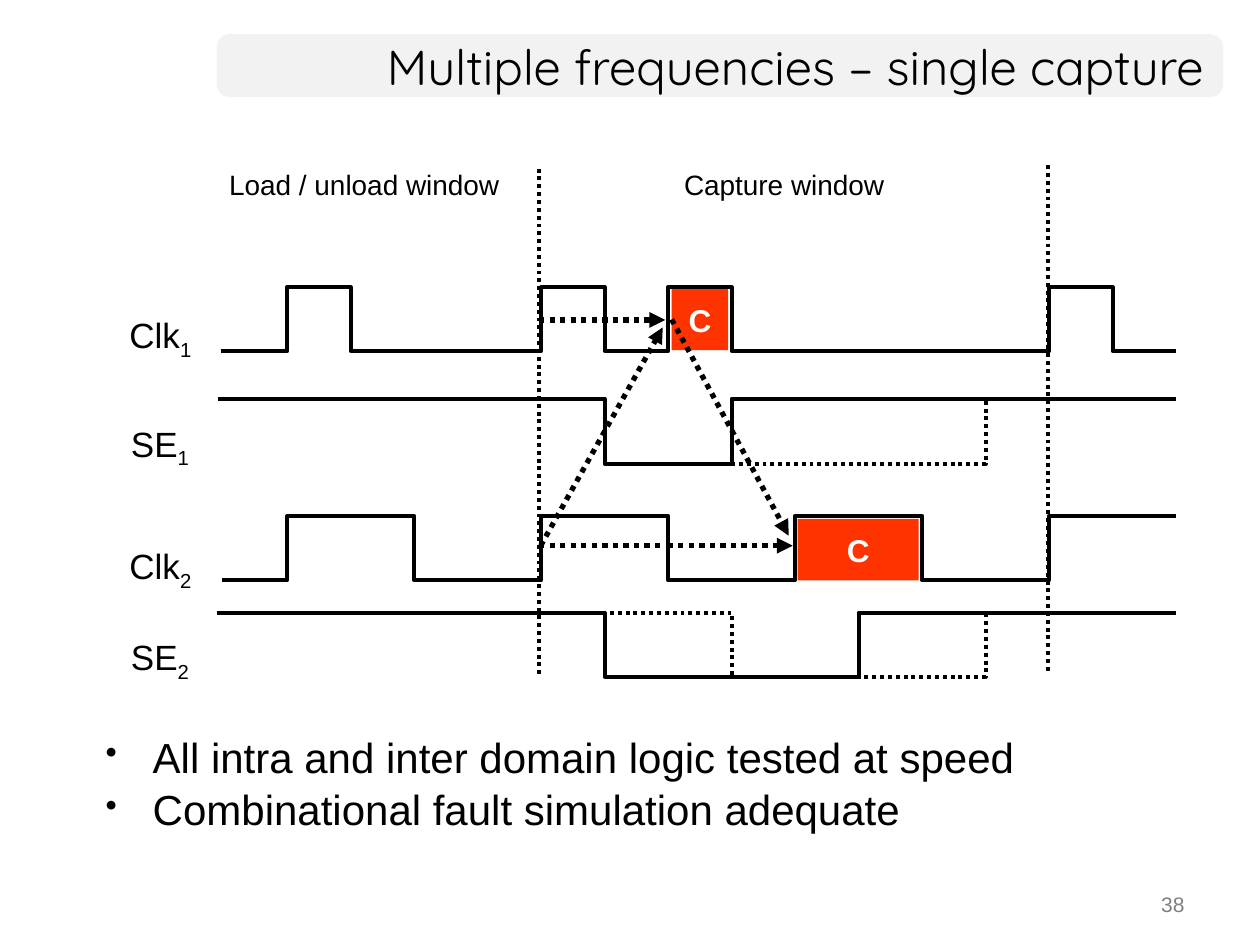
"""Build the slide on single capture with multiple clock frequencies."""
from dataclasses import dataclass

from lxml.etree import SubElement
from pptx import Presentation
from pptx.dml.color import RGBColor
from pptx.enum.dml import MSO_LINE
from pptx.enum.shapes import MSO_CONNECTOR, MSO_SHAPE
from pptx.enum.text import MSO_ANCHOR, MSO_AUTO_SIZE, PP_ALIGN
from pptx.oxml.ns import qn
from pptx.util import Cm, Pt

HUES = {"ink": "000000", "bar": "F2F2F2", "hit": "FF3300", "page": "808080", "pale": "FFFFFF"}
FIRST, STEP, LAST = 5.79, 1.28, 14


@dataclass
class Wave:
    start: float
    top: float
    low: float
    ticks: tuple
    high: bool = False


@dataclass
class Label:
    text: str
    left: float
    top: float
    width: float
    height: float
    size: int
    sub: str = ""
    hue: str = "ink"
    face: str = "Arial"
    align: PP_ALIGN = PP_ALIGN.LEFT
    wrap: bool = False


@dataclass
class Ray:
    start: tuple
    end: tuple
    width: float = 3
    head: bool = True
    source: int | None = None


WAVES = (
    Wave(4.45, 5.79, 7.08, (0, 1, 4, 5, 6, 7, 12, 13)),
    Wave(4.39, 8.04, 9.35, (5, 7), True),
    Wave(4.47, 10.4, 11.7, (0, 2, 4, 6, 8, 10, 12)),
    Wave(4.37, 12.35, 13.64, (5, 9), True),
)
DOTS = (
    ((11, 8.08), (11, 9.35), (7, 9.35)),
    ((7, 13.61), (7, 12.35), (5, 12.35)),
    ((11, 12.37), (11, 13.64), (9, 13.64)),
)
HITS = ((13.54, 5.82, 1.14, 1.24), (16.08, 10.46, 2.44, 1.24))
LABELS = (
    Label("Multiple frequencies – single capture", 4.37, 0.69, 20.14, 1.27, 28,
          face="Quicksand", align=PP_ALIGN.RIGHT, wrap=True),
    Label("38", 18.21, 17.78, 5.92, 0.89, 12, hue="page", align=PP_ALIGN.RIGHT, wrap=True),
    Label("Clk", 2.36, 6.25, 1.8, 1.12, 20, "1"),
    Label("SE", 2.39, 8.43, 1.73, 1.12, 20, "1"),
    Label("Clk", 2.36, 10.9, 1.8, 1.12, 20, "2"),
    Label("SE", 2.39, 12.73, 1.73, 1.12, 20, "2"),
    Label("Load / unload window", 4.37, 3.25, 6.02, 0.94, 16),
    Label("Capture window", 13.54, 3.25, 4.6, 0.94, 16),
)
RAYS = (
    Ray((10.87, 3.4), (10.87, 13.61), 2.25, False),
    Ray((21.13, 3.33), (21.13, 13.54), 2.25, False),
    Ray((13.46, 11), (15.98, 11)),
    Ray((13.54, 6.44), (15.9, 10.8), source=0),
    Ray((10.87, 6.45), (13.41, 6.45)),
    Ray((10.9, 11), (13.36, 6.6)),
    Ray((10.87, 11), (13.39, 11), head=False),
)
POINTS = ("All intra and inter domain logic tested at speed",
          "Combinational fault simulation adequate")


def hue(name: str) -> RGBColor:
    """Return the named colour."""
    return RGBColor.from_string(HUES[name])


def tick(count: int) -> float:
    """Return the x of a clock tick in centimetres."""
    return FIRST + STEP * count


def style(font, size: int, name: str = "ink", face: str = "Arial", bold: bool = False) -> None:
    """Set size, colour, face and weight of a font."""
    font.size, font.name, font.bold = Pt(size), face, bold
    font.color.rgb = hue(name)


def trace(shapes, spots: list, dash: bool = False) -> None:
    """Draw an open line through the spots."""
    spots = [(Cm(x), Cm(y)) for x, y in spots]
    build = shapes.build_freeform(*spots[0])
    build.add_line_segments(spots[1:], close=False)
    shape = build.convert_to_shape()
    shape.shadow.inherit = False
    shape.fill.background()
    shape.line.color.rgb = hue("ink")
    shape.line.width = Pt(2.25)
    if dash:
        shape.line.dash_style = MSO_LINE.ROUND_DOT


def pulse(shapes, wave: Wave) -> None:
    """Draw a square wave that flips at each of its ticks."""
    high = wave.high
    spots = [(wave.start, wave.top if high else wave.low)]
    for count in wave.ticks:
        spots.append((tick(count), spots[-1][1]))
        high = not high
        spots.append((tick(count), wave.top if high else wave.low))
    spots.append((tick(LAST), spots[-1][1]))
    trace(shapes, spots)


def block(shapes, kind: MSO_SHAPE, spot: tuple, name: str):
    """Draw a filled shape without outline."""
    shape = shapes.add_shape(kind, *map(Cm, spot))
    shape.shadow.inherit = False
    shape.fill.solid()
    shape.fill.fore_color.rgb = hue(name)
    shape.line.fill.background()
    return shape


def mark(shapes, spot: tuple):
    """Draw a capture pulse with its letter."""
    shape = block(shapes, MSO_SHAPE.RECTANGLE, spot, "hit")
    frame = shape.text_frame
    frame.word_wrap = False
    frame.vertical_anchor = MSO_ANCHOR.MIDDLE
    para = frame.paragraphs[0]
    para.text, para.alignment = "C", PP_ALIGN.CENTER
    style(para.font, 18, "pale", bold=True)
    return shape


def write(shapes, label: Label) -> None:
    """Write a label with its subscript, if any."""
    box = shapes.add_textbox(*map(Cm, (label.left, label.top, label.width, label.height)))
    frame = box.text_frame
    frame.word_wrap = label.wrap
    if not label.wrap:
        frame.auto_size = MSO_AUTO_SIZE.SHAPE_TO_FIT_TEXT
    frame.vertical_anchor = MSO_ANCHOR.MIDDLE
    para = frame.paragraphs[0]
    para.text, para.alignment = label.text, label.align
    style(para.font, label.size, label.hue, label.face)
    if label.sub:
        run = para.add_run()
        run.text = label.sub
        run._r.get_or_add_rPr().set("baseline", "-25000")


def bullets(shapes) -> None:
    """Write the bullet points."""
    frame = shapes.add_textbox(Cm(1.88), Cm(14.58), Cm(21.34), Cm(2.39)).text_frame
    frame.word_wrap = True
    for rank, text in enumerate(POINTS):
        para = frame.add_paragraph() if rank else frame.paragraphs[0]
        para.text = text
        prop = para._p.get_or_add_pPr()
        prop.set("marL", str(Cm(0.95)))
        prop.set("indent", str(-Cm(0.95)))
        SubElement(prop, qn("a:buSzPct")).set("val", "80000")
        SubElement(prop, qn("a:buChar")).set("char", "•")
        para.line_spacing = 1.04
        style(para.font, 24)


def shoot(shapes, ray: Ray, marks: list) -> None:
    """Draw a dotted line or arrow."""
    link = shapes.add_connector(MSO_CONNECTOR.STRAIGHT, *map(Cm, ray.start + ray.end))
    if ray.source is not None:
        link.begin_connect(marks[ray.source], 1)
    link.line.color.rgb = hue("ink")
    link.line.width = Pt(ray.width)
    link.line.dash_style = MSO_LINE.ROUND_DOT
    if ray.head:
        SubElement(link.line._get_or_add_ln(), qn("a:tailEnd")).set("type", "triangle")
    SubElement(link._element.spPr, qn("a:effectLst"))


def main() -> None:
    """Build and save the slide."""
    deck = Presentation()
    deck.slide_width, deck.slide_height = Cm(25.4), Cm(19.05)
    shapes = deck.slides.add_slide(deck.slide_layouts[6]).shapes
    bar = block(shapes, MSO_SHAPE.ROUNDED_RECTANGLE, (4.37, 0.69, 20.29, 1.27), "bar")
    bar.adjustments[0] = 0.21
    marks = [mark(shapes, spot) for spot in HITS]
    for dots in DOTS:
        trace(shapes, [(tick(count), y) for count, y in dots], True)
    for wave in WAVES:
        pulse(shapes, wave)
    for label in LABELS:
        write(shapes, label)
    bullets(shapes)
    for ray in RAYS:
        shoot(shapes, ray, marks)
    deck.save("out.pptx")


if __name__ == "__main__":
    main()
